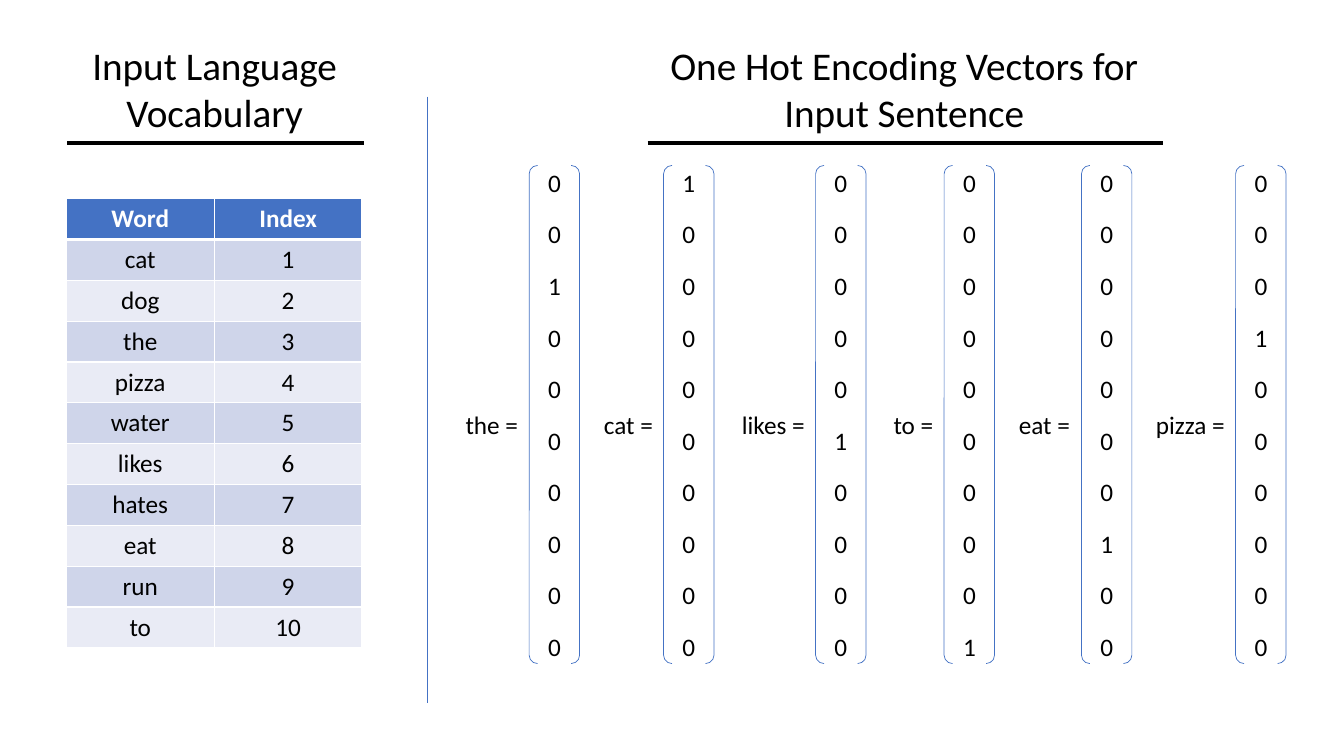
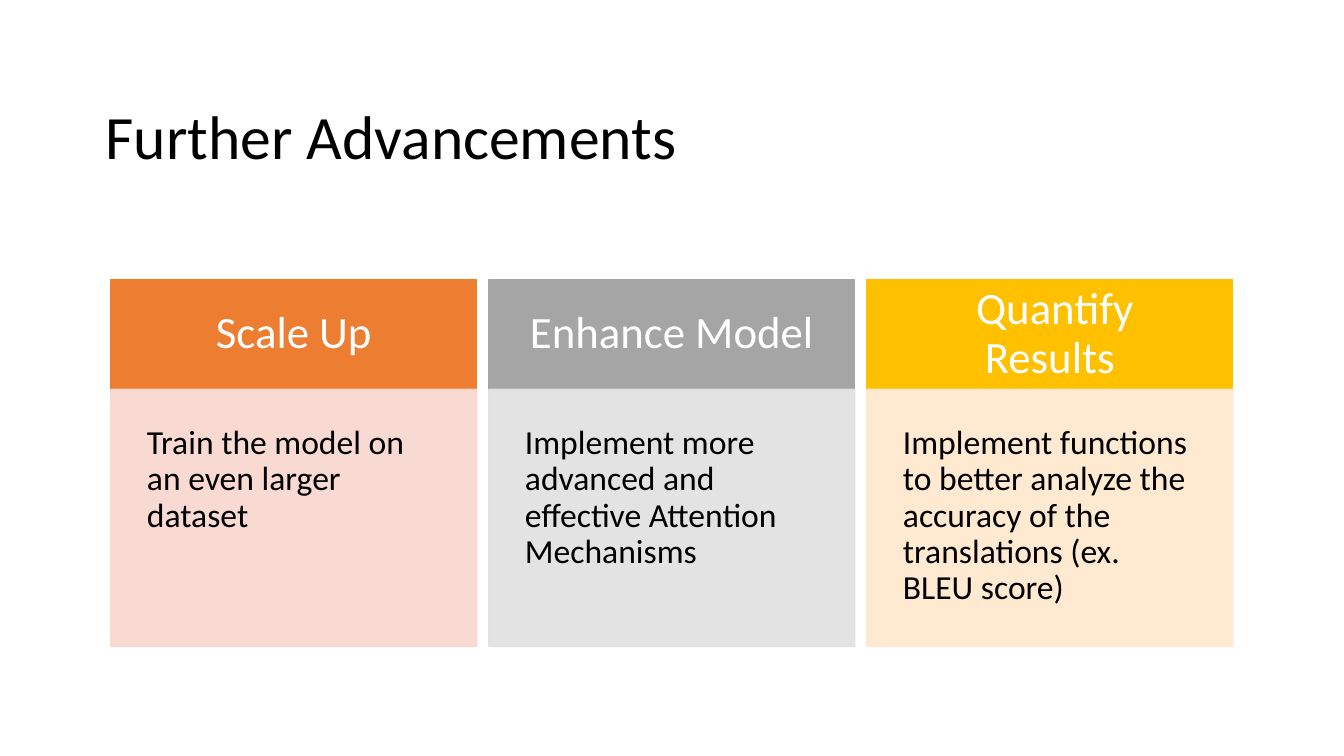
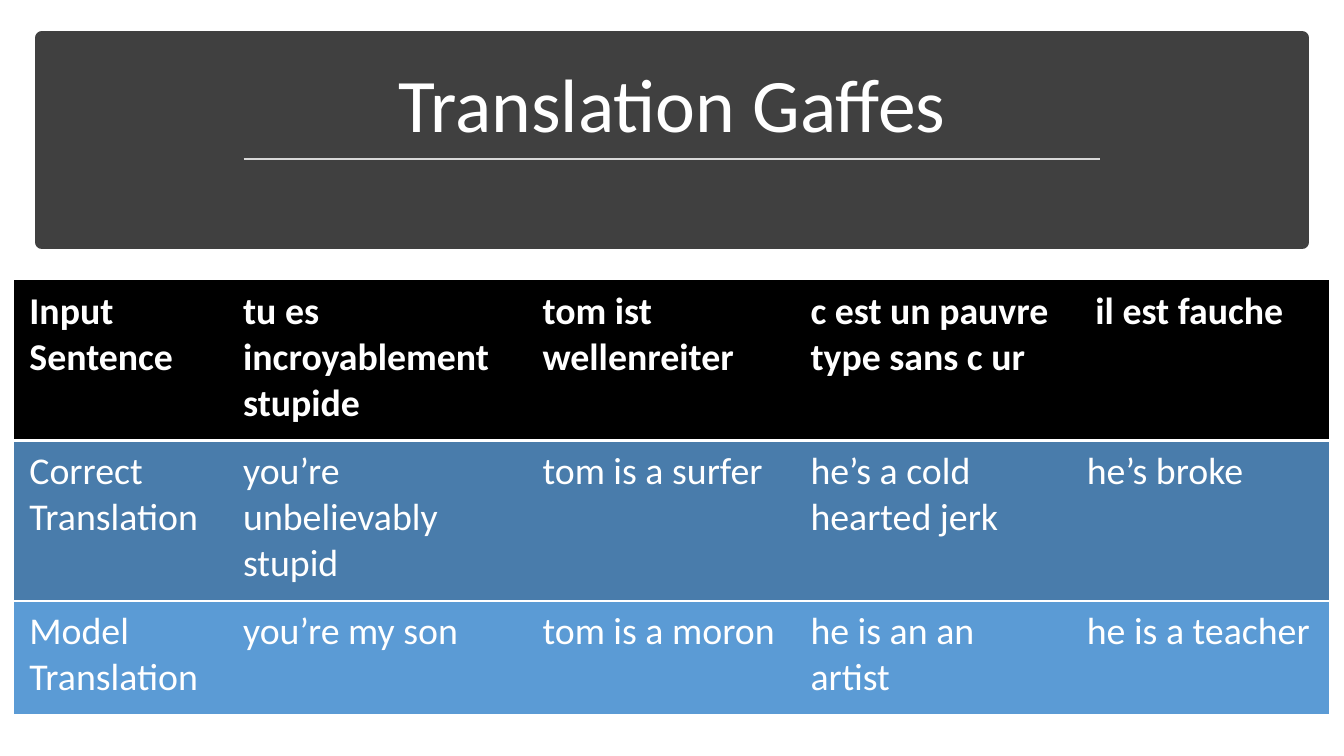
from dataclasses import dataclass

from lxml import etree
from pptx import Presentation
from pptx import util as u
from pptx.dml.color import RGBColor
from pptx.enum import shapes, text
from pptx.oxml import ns

FONT = "Calibri"
COLORS = {
    "ink": "000000", "white": "FFFFFF", "blue": "4472C4",
    "band_dark": "CFD5EA", "band_light": "E9EBF5",
    "orange": "ED7D31", "orange_pale": "F8D7CE",
    "gray": "A5A5A5", "gray_pale": "E1E1E1",
    "gold": "FFC000", "gold_pale": "FFE8CC",
    "panel": "404040", "panel_rule": "D9D9D9",
    "row_dark": "497CAB", "row_light": "5B9BD5",
}
NO_STYLE = "{2D5ABB26-0587-4C30-8999-92F81FD0307C}"
LEFT, CENTER = text.PP_ALIGN.LEFT, text.PP_ALIGN.CENTER
TOP, MIDDLE, BOTTOM = (text.MSO_ANCHOR.TOP, text.MSO_ANCHOR.MIDDLE,
                       text.MSO_ANCHOR.BOTTOM)

# The slide is a grid of 160 columns by 90 rows with square cells.
COLS, ROWS = 160, 90
WIDTH, HEIGHT = u.Inches(13.333), u.Inches(7.5)


@dataclass
class Box:
    """A rectangle in grid cells."""
    x: float
    y: float
    w: float
    h: float

    def inner(self, dx, dy, w, h):
        return Box(self.x + dx, self.y + dy, w, h)

    def emu(self):
        return cells(self.x), cells(self.y), cells(self.w), cells(self.h)


def cells(n):
    return u.Emu(round(n * HEIGHT / ROWS))


def rgb(name):
    return RGBColor.from_string(COLORS[name])


def write(tf, words, size=18, color="ink", bold=False, align=LEFT,
          spacing=None):
    p = tf.paragraphs[0]
    p.alignment = align
    if spacing:
        p.line_spacing = spacing
    r = p.add_run()
    r.text = words
    r.font.name, r.font.size, r.font.bold = FONT, u.Pt(size), bold
    r.font.color.rgb = rgb(color)


def frame(tf, anchor=TOP, inset=None, wrap=True):
    tf.word_wrap = wrap
    tf.vertical_anchor = anchor
    if inset is not None:
        tf.margin_left = tf.margin_right = cells(inset)
        tf.margin_top = tf.margin_bottom = cells(inset)


def add_text(slide, box, words, anchor=TOP, wrap=True, **fmt):
    tf = slide.shapes.add_textbox(*box.emu()).text_frame
    frame(tf, anchor, wrap=wrap)
    write(tf, words, **fmt)


def add_shape(slide, kind, box, fill=None, line=None, width=1, alpha=None):
    sp = slide.shapes.add_shape(kind, *box.emu())
    sp.shadow.inherit = False
    if fill:
        sp.fill.solid()
        sp.fill.fore_color.rgb = rgb(fill)
    else:
        sp.fill.background()
    sp.line.color.rgb = rgb(line or fill)
    sp.line.width = u.Pt(width)
    if alpha:
        for clr in sp.fill._xPr.iter(ns.qn("a:srgbClr")):
            etree.SubElement(clr, ns.qn("a:alpha"), val=str(alpha * 1000))
    return sp


def add_line(slide, x1, y1, x2, y2, color, width):
    line = slide.shapes.add_connector(
        shapes.MSO_CONNECTOR.STRAIGHT, *map(cells, (x1, y1, x2, y2)))
    line.line.color.rgb = rgb(color)
    line.line.width = u.Pt(width)
    etree.SubElement(line._element.spPr, ns.qn("a:effectLst"))


def set_borders(cell, widths):
    """Draw white borders; widths maps a side (L, R, T, B) to points."""
    tc_pr = cell._tc.get_or_add_tcPr()
    sides = [side for side in "LRTB" if side in widths]
    for i, side in enumerate(sides):
        ln = etree.Element(ns.qn("a:ln" + side), w=str(u.Pt(widths[side])))
        fill = etree.SubElement(ln, ns.qn("a:solidFill"))
        etree.SubElement(fill, ns.qn("a:srgbClr"), val=COLORS["white"])
        tc_pr.insert(i, ln)


def add_table(slide, box, rows, col_widths, row_heights, style):
    """Fill a table; style(row) gives fill, borders, insets and text format."""
    shape = slide.shapes.add_table(len(rows), len(col_widths), *box.emu())
    table = shape.table
    table.first_row = table.horz_banding = False
    table._tbl.tblPr.find(ns.qn("a:tableStyleId")).text = NO_STYLE
    for column, width in zip(table.columns, col_widths):
        column.width = cells(width)
    for i, (row, height) in enumerate(zip(rows, row_heights)):
        table.rows[i].height = cells(height)
        fill, borders, insets, fmt = style(i)
        for j, words in enumerate(row):
            cell = table.cell(i, j)
            if fill:
                cell.fill.solid()
                cell.fill.fore_color.rgb = rgb(fill)
            else:
                cell.fill.background()
            set_borders(cell, borders)
            if insets:
                cell.margin_left = cell.margin_right = cells(insets[0])
                cell.margin_top = cell.margin_bottom = cells(insets[1])
            write(cell.text_frame, words, **fmt)


def grid_borders(row):
    return {"L": 1, "R": 1, "T": 1 if row == 0 else 3 if row == 1 else 1,
            "B": 3 if row == 0 else 1}


def vocabulary_style(row):
    fill = "blue" if row == 0 else "band_dark" if row % 2 else "band_light"
    color = "white" if row == 0 else "ink"
    return fill, grid_borders(row), None, dict(
        color=color, bold=row == 0, align=CENTER)


def vector_style(row):
    return None, grid_borders(row), None, dict(align=CENTER)


def gaffe_style(row):
    fill = ("ink", "row_dark", "row_light")[row]
    borders = ({"B": 2}, {"T": 2}, {})[row]
    return fill, borders, (1.8, 0.96), dict(
        size=27, color="white", bold=row == 0)


VOCABULARY = ["cat", "dog", "the", "pizza", "water",
              "likes", "hates", "eat", "run", "to"]
# Word of the sentence, left edge of its vector, width of its label
SENTENCE = [("the", 63, 8.76), ("cat", 79, 8.28), ("likes", 97.1, 9.96),
            ("to", 112.4, 7.2), ("eat", 128.75, 8.64), ("pizza", 147.1, 10.68)]


def underlined_heading(slide, box, words):
    add_text(slide, box, words, size=28, align=CENTER)
    y = box.y + 12.7
    add_line(slide, box.x + 0.2, y, box.x + box.w, y, "ink", 3)


def vocabulary_table(slide, box):
    rows = [("Word", "Index")]
    rows += [(word, str(i)) for i, word in enumerate(VOCABULARY, 1)]
    add_table(slide, box, rows, [box.w / 2] * 2,
              [box.h / len(rows)] * len(rows), vocabulary_style)


def one_hot_vector(slide, box, word, label_width):
    n = len(VOCABULARY)
    add_text(slide, box.inner(-label_width, 28.4, label_width, 4.8),
             word + " =", wrap=False)
    digits = [("1" if word == entry else "0",) for entry in VOCABULARY]
    column = box.inner(0.3, -0.25, 5.4, 61.4)
    add_table(slide, column, digits, [column.w], [column.h / n] * n,
              vector_style)
    add_shape(slide, shapes.MSO_SHAPE.DOUBLE_BRACKET, box,
              line="blue", width=0.5)


def encoding_slide(slide):
    underlined_heading(slide, Box(7.8, 4.3, 35.5, 12.5),
                       "Input Language Vocabulary")
    vocabulary_table(slide, Box(7.9, 23.65, 35.2, 53.5))
    add_line(slide, 50.9, 11.5, 50.9, 83.75, "blue", 0.5)
    underlined_heading(slide, Box(76.9, 4.3, 61.5, 12.5),
                       "One Hot Encoding Vectors for Input Sentence")
    for word, x, label_width in SENTENCE:
        one_hot_vector(slide, Box(x, 19.7, 6, 59.3), word, label_width)


CARDS = [
    ("Scale Up", "orange", "Train the model on an even larger dataset"),
    ("Enhance Model", "gray",
     "Implement more advanced and effective Attention Mechanisms"),
    (" Quantify Results", "gold",
     "Implement functions to better analyze the accuracy of the "
     "translations (ex. BLEU score)"),
]


def card(slide, box, heading, color, body):
    head_h = 0.3 * box.h
    head = add_shape(slide, shapes.MSO_SHAPE.RECTANGLE,
                     box.inner(0, 0, box.w, head_h), fill=color)
    frame(head.text_frame, MIDDLE, 3.5)
    write(head.text_frame, heading, size=32, color="white", align=CENTER,
          spacing=0.9)
    base = add_shape(slide, shapes.MSO_SHAPE.RECTANGLE,
                     box.inner(0, head_h, box.w, box.h - head_h),
                     fill=color + "_pale", alpha=90)
    frame(base.text_frame, TOP, 4.3)
    write(base.text_frame, body, size=24, spacing=0.9)


def advancements_slide(slide):
    add_text(slide, Box(11.4, 7.9, 137.2, 17.4), "Further Advancements",
             anchor=MIDDLE, size=44, spacing=0.9)
    for i, content in enumerate(CARDS):
        card(slide, Box(13.2 + 45 * i, 33.25, 43.56, 43.7), *content)


GAFFES = [
    ("Input Sentence", "tu es incroyablement stupide", "tom ist wellenreiter",
     "c est un pauvre type sans c ur", " il est fauche"),
    ("Correct Translation", "you’re unbelievably stupid", "tom is a surfer",
     "he’s a cold hearted jerk", "he’s broke"),
    ("Model Translation", "you’re my son", "tom is a moron",
     "he is an an artist", "he is a teacher"),
]


def title_panel(slide, box, words):
    add_shape(slide, shapes.MSO_SHAPE.RECTANGLE, box, fill="panel", width=10)
    add_text(slide, box.inner(2, 1.55, box.w - 4, 12.25), words,
             anchor=BOTTOM, size=54, color="white", align=CENTER, spacing=0.9)
    center, y = box.x + box.w / 2, box.y + 14.4
    add_line(slide, center - 51, y, center + 51, y, "panel_rule", 1.75)


def gaffes_slide(slide):
    title_panel(slide, Box(4.95, 4.55, 150.1, 24.25), "Translation Gaffes")
    add_table(slide, Box(1.7, 33.35, 156.5, 51.7), GAFFES,
              [25.45, 35.65, 31.9, 32.9, 30.6], [19.1, 19.1, 13.5],
              gaffe_style)


def main():
    prs = Presentation()
    prs.slide_width, prs.slide_height = WIDTH, HEIGHT
    for build in (encoding_slide, advancements_slide, gaffes_slide):
        build(prs.slides.add_slide(prs.slide_layouts[6]))
    prs.save("out.pptx")


if __name__ == "__main__":
    main()
